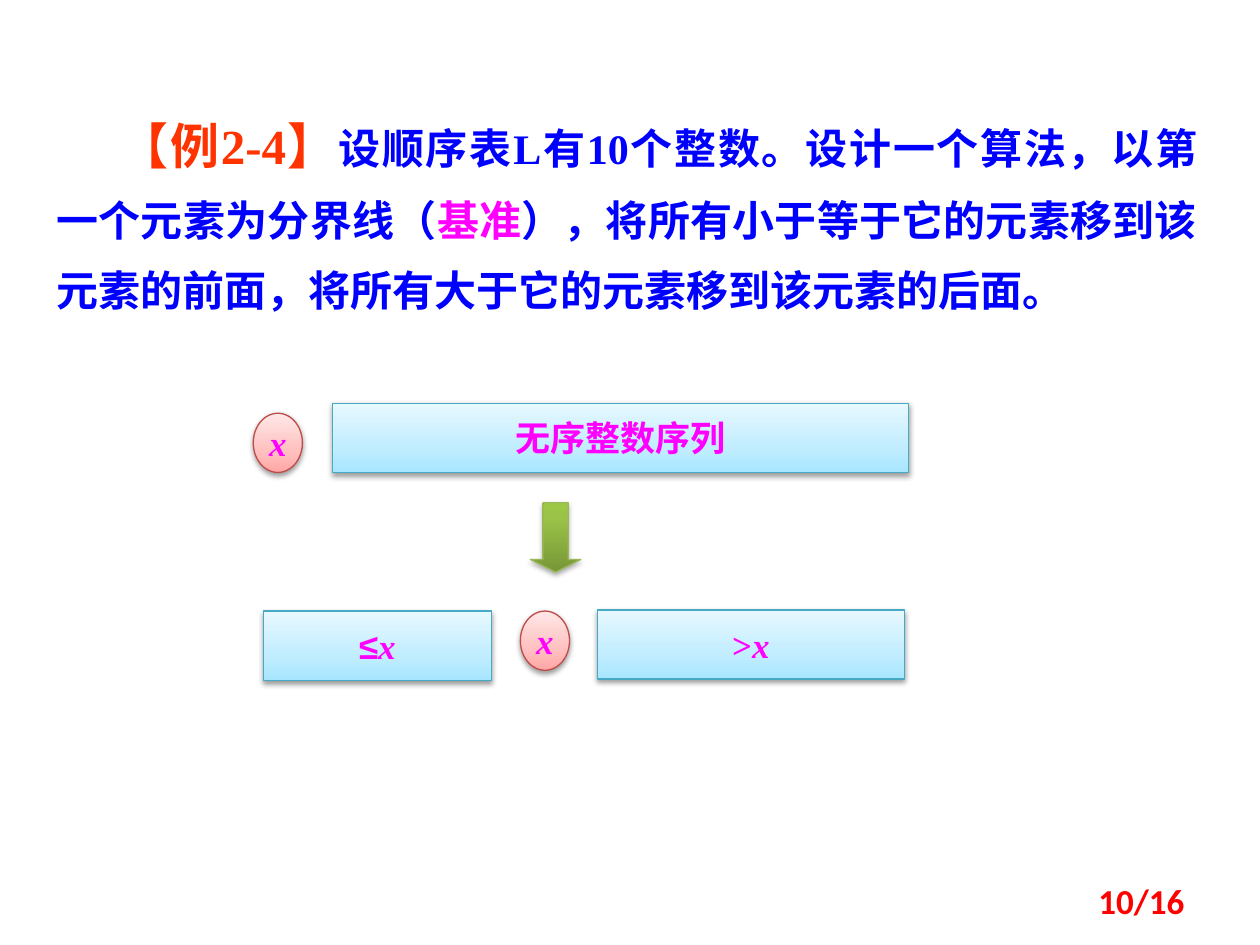
import pptx
import pptx.dml.color
import pptx.enum.shapes
import pptx.enum.text
import pptx.oxml
import pptx.oxml.ns
import pptx.util

Inches = pptx.util.Inches
Pt = pptx.util.Pt
SHAPE = pptx.enum.shapes.MSO_SHAPE
ALIGN = pptx.enum.text.PP_ALIGN
ANCHOR = pptx.enum.text.MSO_ANCHOR

COLORS = {"blue": "0000FF", "orange": "FF3300", "magenta": "FF00FF", "red": "FF0000"}
# Each look: line colour, gradient stops from bottom to top, shadow opacity
LOOKS = {
    "pivot": ("BF4C48", ((0, "FFA6A5"), (35, "FFC0BF"), (100, "FFE7E7")), 38),
    "sequence": ("46AAC5", ((0, "A7E6FF"), (35, "C1EDFF"), (100, "E7F8FF")), 38),
    "step": ("98B955", ((0, "779737"), (80, "9BC348"), (100, "9DC746")), 35),
}
SERIF, CJK = "Times New Roman", "Noto Sans CJK SC"
BAR_HEIGHT = 0.55
PIVOT_SIZE = (0.39, 0.47)


def rgb(value):
    return pptx.dml.color.RGBColor.from_string(value)


def parse_drawing(tag, content):
    namespace = pptx.oxml.ns.nsdecls("a")
    return pptx.oxml.parse_xml(f"<a:{tag} {namespace}>{content}</a:{tag}>")


def add_run(paragraph, text, color, size, latin=SERIF, italic=None):
    """Add a bold run with a Latin font and the slide's Chinese font."""
    run = paragraph.add_run()
    run.text = text
    font = run.font
    font.size, font.bold, font.italic = Pt(size), True, italic
    font.color.rgb = rgb(COLORS[color])
    font.name = latin
    east_asian = pptx.oxml.parse_xml(
        f'<a:ea {pptx.oxml.ns.nsdecls("a")} typeface="{CJK}"/>')
    font._element.find(pptx.oxml.ns.qn("a:latin")).addnext(east_asian)


def add_text_box(slide, left, top, width, height, align):
    frame = slide.shapes.add_textbox(*map(Inches, (left, top, width, height))).text_frame
    frame.word_wrap = True
    frame.paragraphs[0].alignment = align
    return frame


def apply_look(shape, look):
    """Give a shape its line, vertical gradient and soft shadow below."""
    line_color, stops, opacity = LOOKS[look]
    shape.line.color.rgb = rgb(line_color)
    shape.line.width = Pt(0.75)
    shape.fill.gradient()
    shape.fill.gradient_angle = 90
    properties = shape._element.spPr
    stop_list = properties.find(".//" + pptx.oxml.ns.qn("a:gsLst"))
    stop_list.getparent().replace(stop_list, parse_drawing("gsLst", "".join(
        f'<a:gs pos="{position * 1000}"><a:srgbClr val="{color}"/></a:gs>'
        for position, color in stops)))
    properties.append(parse_drawing(
        "effectLst",
        f'<a:outerShdw blurRad="{Pt(3.1)}" dist="{Pt(1.6)}" dir="5400000" rotWithShape="0">'
        f'<a:srgbClr val="000000"><a:alpha val="{opacity * 1000}"/></a:srgbClr>'
        '</a:outerShdw>'))


def add_block(slide, kind, look, left, top, width, height, runs=()):
    """Add a shape; runs are (text, font, italic) triples."""
    shape = slide.shapes.add_shape(kind, *map(Inches, (left, top, width, height)))
    apply_look(shape, look)
    frame = shape.text_frame
    frame.word_wrap = False
    frame.vertical_anchor = ANCHOR.MIDDLE
    paragraph = frame.paragraphs[0]
    paragraph.alignment = ALIGN.CENTER
    for text, latin, italic in runs:
        add_run(paragraph, text, "magenta", 20, latin, italic)
    return shape


def add_pivot(slide, left, top):
    add_block(slide, SHAPE.OVAL, "pivot", left, top, *PIVOT_SIZE, [("x", SERIF, True)])


def add_sequence(slide, left, top, width, runs):
    add_block(slide, SHAPE.RECTANGLE, "sequence", left, top, width, BAR_HEIGHT, runs)


def add_problem(slide):
    paragraph = add_text_box(slide, 0.35, 0.68, 9.25, 1.89, ALIGN.JUSTIFY).paragraphs[0]
    paragraph.line_spacing = 1.4
    paragraph._p.get_or_add_pPr().set("indent", str(Inches(0.5)))
    for text, latin in (("【例", CJK), ("2-4", SERIF), ("】", CJK)):
        add_run(paragraph, text, "orange", 28, latin)
    for text, color in (
        ("设顺序表L有10个整数。设计一个算法，以第一个元素为分界线（", "blue"),
        ("基准", "magenta"),
        ("），将所有小于等于它的元素移到该元素的前面，将所有大于它的元素移到该元素的后面。", "blue"),
    ):
        add_run(paragraph, text, color, 24)


def add_partition(slide):
    """Show the unordered list above and its two parts around x below."""
    add_pivot(slide, 2.01, 3.28)
    add_sequence(slide, 2.64, 3.2, 4.57, [("无序整数序列", CJK, None)])
    arrow = add_block(slide, SHAPE.DOWN_ARROW, "step", 4.21, 3.99, 0.4, BAR_HEIGHT)
    arrow.adjustments[0], arrow.adjustments[1] = 0.5, 0.25
    add_sequence(slide, 2.09, 4.85, 1.81, [("≤", "Arial", None), ("x", SERIF, True)])
    add_pivot(slide, 4.13, 4.85)
    add_sequence(slide, 4.74, 4.84, 2.44, [(">", SERIF, None), ("x", SERIF, True)])


def add_page_number(slide):
    frame = add_text_box(slide, 7.17, 6.95, 2.33, 0.4, ALIGN.RIGHT)
    frame.vertical_anchor = ANCHOR.MIDDLE
    add_run(frame.paragraphs[0], "10/16", "red", 20, "Calibri")


def main():
    presentation = pptx.Presentation()
    presentation.slide_width, presentation.slide_height = Inches(10), Inches(7.5)
    slide = presentation.slides.add_slide(presentation.slide_layouts[6])
    add_problem(slide)
    add_partition(slide)
    add_page_number(slide)
    presentation.save("out.pptx")


if __name__ == "__main__":
    main()
